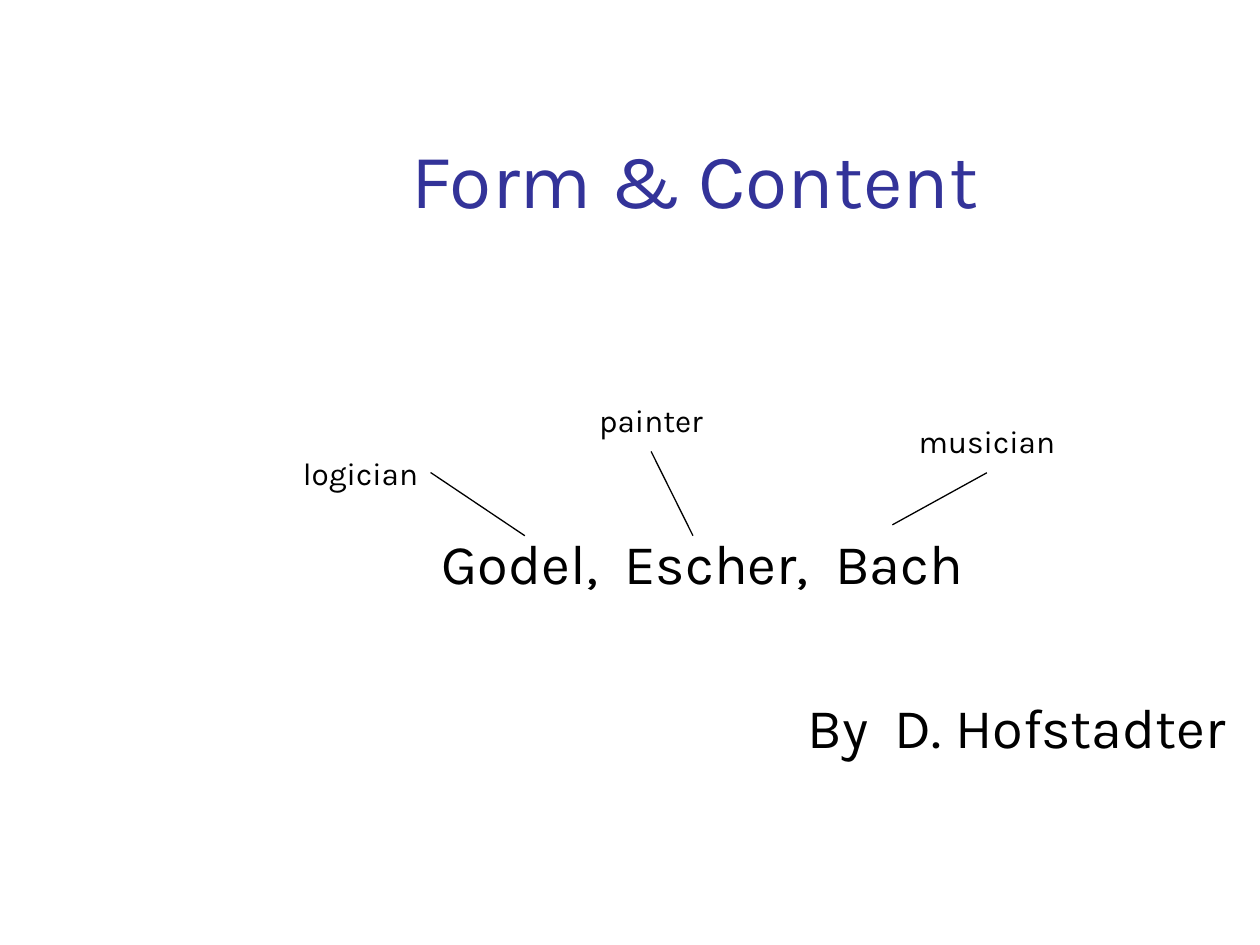
from lxml import etree
from pptx import Presentation
from pptx.dml.color import RGBColor
from pptx.enum.shapes import MSO_CONNECTOR, MSO_SHAPE
from pptx.enum.text import MSO_ANCHOR, PP_ALIGN
from pptx.oxml.ns import qn
from pptx.util import Cm, Pt

LEFT, CENTER, RIGHT = PP_ALIGN.LEFT, PP_ALIGN.CENTER, PP_ALIGN.RIGHT
TOP, MIDDLE, BOTTOM = MSO_ANCHOR.TOP, MSO_ANCHOR.MIDDLE, MSO_ANCHOR.BOTTOM
RECTANGLE, STRAIGHT = MSO_SHAPE.RECTANGLE, MSO_CONNECTOR.STRAIGHT
BOTTOM_SIDE, RIGHT_SIDE = 2, 3


def rgb(value):
    return RGBColor.from_string(value)


class Deck:
    """Holds the style and the current slide."""

    font, ink, accent, paper = "Karla", "000000", "333399", "FFFFFF"
    line_width = Pt(0.75)

    def __init__(self, prs):
        self.s = prs.slides.add_slide(prs.slide_layouts[6])

    def style(self, p, size, color, align):
        p.alignment = align
        for r in p.runs:
            r.font.name, r.font.size = self.font, Pt(size)
            r.font.color.rgb = rgb(color)

    def text(self, box, lines, size, color, anchor=TOP, margin_top=0.13, gap=0):
        sp = self.s.shapes.add_textbox(*map(Cm, box))
        tf = sp.text_frame
        tf.word_wrap, tf.vertical_anchor = True, anchor
        tf.margin_top = Cm(margin_top)
        tf.text = "\n".join(words for words, _ in lines)
        for i, (p, (_, align)) in enumerate(zip(tf.paragraphs, lines)):
            self.style(p, size, color, align)
            if i:
                p.space_before = Pt(gap)

    def label(self, words, left, top, align):
        sp = self.s.shapes.add_shape(RECTANGLE, Cm(left), Cm(top), Cm(3.81), Cm(1.27))
        sp.shadow.inherit = False
        sp.fill.background()
        sp.line.color.rgb, sp.line.width = rgb(self.paper), self.line_width
        tf = sp.text_frame
        tf.text = words
        tf.word_wrap, tf.vertical_anchor = False, MIDDLE
        self.style(tf.paragraphs[0], 18, self.ink, align)
        return sp

    def pointer(self, sp, side, x, y):
        line = self.s.shapes.add_connector(STRAIGHT, 0, 0, Cm(x), Cm(y))
        line.begin_connect(sp, side)
        line.line.color.rgb, line.line.width = rgb(self.ink), self.line_width
        etree.SubElement(line._element.spPr, qn("a:effectLst"))


def main():
    prs = Presentation()
    prs.slide_width, prs.slide_height = Cm(25.4), Cm(19.05)
    deck = Deck(prs)
    deck.text((3.2, 0.58, 21.64, 4.06), [("Form & Content", CENTER)],
              44, deck.accent, anchor=BOTTOM)
    deck.text((3.38, 5.51, 21.59, 11.43),
              [("Godel,  Escher,  Bach", CENTER), ("By  D. Hofstadter", RIGHT)],
              32, deck.ink, margin_top=5.15, gap=55)
    professions = [
        ("logician", 4.87, 8.89, RIGHT, RIGHT_SIDE, 10.58, 10.8),
        ("painter", 11.22, 7.83, CENTER, BOTTOM_SIDE, 13.97, 10.8),
        ("musician", 17.99, 8.26, CENTER, BOTTOM_SIDE, 17.99, 10.58),
    ]
    for words, left, top, align, side, x, y in professions:
        deck.pointer(deck.label(words, left, top, align), side, x, y)
    prs.save("out.pptx")


if __name__ == "__main__":
    main()
